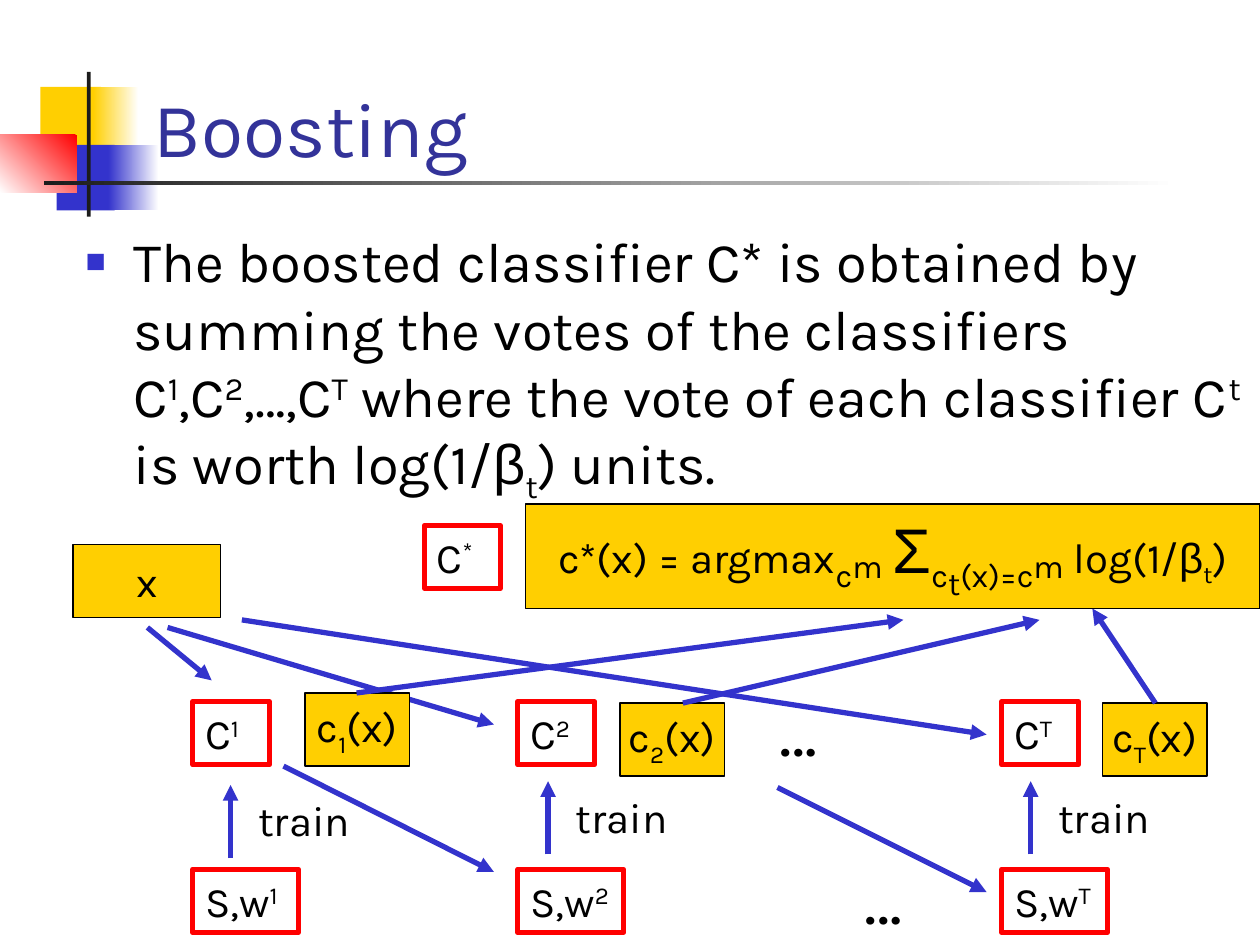
from lxml import etree
from pptx import Presentation
from pptx import util as u
from pptx.dml.color import RGBColor
from pptx.enum import shapes, text
from pptx.oxml import ns

COLORS = {"yellow": "FFCF01", "blue": "3333CC", "red": "FF0000", "dark": "1C1C1C",
          "title": "333399", "black": "000000", "white": "FFFFFF"}
FONT, GREEK = "Karla", "Arial"
UP, DOWN = 30, -25  # superscript and subscript, percent


def rgb(name):
    return RGBColor.from_string(COLORS[name])


def inches(*lengths):
    return [u.Inches(length) for length in lengths]


def write(shape, runs, size=24, color="black", align=text.PP_ALIGN.LEFT,
          anchor=text.MSO_ANCHOR.TOP, wrap=False, fit=text.MSO_AUTO_SIZE.NONE):
    """Fill a shape with one paragraph; a run is (text, baseline, size, font)."""
    frame = shape.text_frame
    frame.word_wrap, frame.auto_size, frame.vertical_anchor = wrap, fit, anchor
    paragraph = frame.paragraphs[0]
    paragraph.alignment = align
    paragraph.font.name, paragraph.font.size = FONT, u.Pt(size)
    paragraph.font.color.rgb = rgb(color)
    for words, baseline, run_size, font in runs:
        run = paragraph.add_run()
        run.text = words
        if baseline:
            run._r.get_or_add_rPr().set("baseline", str(baseline * 1000))
        if run_size:
            run.font.size = u.Pt(run_size)
        if font:
            run.font.name = font
    return paragraph


def run(words, baseline=0, size=None, font=None):
    return words, baseline, size, font


def add_box(slide, at, fill=None, line=None, width=0.75):
    box = slide.shapes.add_shape(shapes.MSO_SHAPE.RECTANGLE, *inches(*at))
    box.shadow.inherit = False
    if fill:
        box.fill.solid()
        box.fill.fore_color.rgb = rgb(fill)
    else:
        box.fill.background()
    if line:
        box.line.color.rgb = rgb(line)
        box.line.width = u.Pt(width)
    else:
        box.line.fill.background()
    return box


def add_gradient(slide, at, start, end, clockwise):
    box = add_box(slide, at)
    box.fill.gradient()
    box.fill.gradient_angle = 360 - clockwise
    for stop, color, position in zip(box.fill.gradient_stops, (start, end), (0, 1)):
        stop.color.rgb = rgb(color)
        stop.position = position


def add_value(slide, at, runs):
    """Yellow box for an input or a predicted class."""
    write(add_box(slide, at, "yellow", "black"), runs,
          align=text.PP_ALIGN.CENTER, anchor=text.MSO_ANCHOR.MIDDLE)


def add_model(slide, at, name, index):
    """Red outlined box for a classifier or a sample."""
    write(add_box(slide, at, line="red", width=3), [run(name), run(index, UP)],
          fit=text.MSO_AUTO_SIZE.SHAPE_TO_FIT_TEXT)


def add_label(slide, at, words, size=24):
    write(slide.shapes.add_textbox(*inches(*at)), [run(words)], size,
          fit=text.MSO_AUTO_SIZE.SHAPE_TO_FIT_TEXT)


def add_arrow(slide, *ends):
    arrow = slide.shapes.add_connector(shapes.MSO_CONNECTOR.STRAIGHT, *inches(*ends))
    arrow.line.color.rgb = rgb("blue")
    arrow.line.width = u.Pt(3)
    etree.SubElement(arrow.line._get_or_add_ln(), ns.qn("a:tailEnd"), type="triangle")
    etree.SubElement(arrow._element.spPr, ns.qn("a:effectLst"))


def add_bullet(paragraph, char, color, percent, indent):
    properties = paragraph._p.get_or_add_pPr()
    properties.set("marL", str(u.Inches(indent)))
    properties.set("indent", str(-u.Inches(indent)))
    bullet_color = etree.Element(ns.qn("a:buClr"))
    etree.SubElement(bullet_color, ns.qn("a:srgbClr"), val=COLORS[color])
    parts = [bullet_color,
             etree.Element(ns.qn("a:buSzPct"), val=str(percent * 1000)),
             etree.Element(ns.qn("a:buFont"), typeface=GREEK),
             etree.Element(ns.qn("a:buChar"), char=char)]
    default_font = properties.find(ns.qn("a:defRPr"))
    for part in parts:
        default_font.addprevious(part)


def move(shape, at):
    shape.left, shape.top, shape.width, shape.height = inches(*at)


def add_decoration(slide):
    add_box(slide, (0.32, 0.69, 0.48, 0.52), "yellow")
    add_gradient(slide, (0.74, 0.69, 0.36, 0.52), "white", "yellow", 180)
    add_box(slide, (0.45, 1.15, 0.46, 0.52), "blue")
    add_gradient(slide, (0.86, 1.15, 0.4, 0.52), "white", "blue", 180)
    add_gradient(slide, (0, 1.07, 0.61, 0.46), "red", "white", 135)
    add_box(slide, (0.69, 0.57, 0.03, 1.15), "dark")
    add_gradient(slide, (0.35, 1.44, 9, 0.03), "white", "dark", 180)


def add_texts(title, body):
    move(title, (1.12, 0.17, 8.52, 1.25))
    write(title, [run("Boosting")], 44, "title", anchor=text.MSO_ANCHOR.BOTTOM, wrap=True)
    move(body, (0.58, 1.75, 9.42, 4.5))
    paragraph = write(body, [
        run("The boosted classifier C* is obtained by summing the votes of the classifiers C"),
        run("1", UP), run(",C"), run("2", UP), run(",…,C"), run("T", UP),
        run(" where the vote of each classifier C"), run("t", UP),
        run(" is worth log(1/"), run("β", font=GREEK), run("t", DOWN), run(") units."),
    ], 32, wrap=True)
    paragraph.space_before = u.Pt(8)
    add_bullet(paragraph, "■", "blue", 60, 0.38)


def add_stage(slide, index, left, arrow_x, arrow_top):
    """One boosting round: weighted sample, training arrow, classifier."""
    add_model(slide, (left, 5.57, 0.61, 0.5), "C", index)
    add_arrow(slide, arrow_x, arrow_top + 0.58, arrow_x, arrow_top)
    add_label(slide, (arrow_x + 0.12, arrow_top + 0.03, 0.93, 0.5), "train")
    add_model(slide, (left, 6.9, 0.84, 0.5), "S,w", index)


def main():
    presentation = Presentation()
    presentation.slide_width, presentation.slide_height = inches(10, 7.5)
    slide = presentation.slides.add_slide(presentation.slide_layouts[1])
    title, body = slide.placeholders

    # Corner decoration goes behind the title and the list
    add_decoration(slide)
    for placeholder in (title, body):
        slide.shapes._spTree.append(placeholder._element)
    add_texts(title, body)

    # Ellipses for the rounds left out
    for left, top in ((6.76, 6.73), (6.09, 5.4)):
        add_label(slide, (left, top, 0.64, 0.77), "…", 40)

    # Input and its arrows to the classifiers
    add_value(slide, (0.58, 4.32, 1.17, 0.58), [run("x")])
    for ends in ((1.17, 4.98, 1.68, 5.4), (1.33, 4.98, 3.92, 5.75), (1.92, 4.92, 7.83, 5.83)):
        add_arrow(slide, *ends)

    # Predictions of the single classifiers
    for index, left, top in (("1", 2.42, 5.5), ("2", 4.92, 5.58), ("T", 8.75, 5.58)):
        add_value(slide, (left, top, 0.83, 0.58), [run("c"), run(index, DOWN), run("(x)")])

    # Votes and the boosted classifier
    add_model(slide, (3.37, 4.17, 0.6, 0.5), "C", "*")
    for ends in ((2.83, 5.5, 7.17, 4.92), (5.42, 5.58, 8.25, 4.92), (9.17, 5.58, 8.67, 4.83)):
        add_arrow(slide, *ends)
    add_value(slide, (4.17, 4, 5.83, 0.83), [
        run("c*(x) = argmax"), run("c", DOWN, 32), run("m", -10, 32), run(" "),
        run("Σ", size=36, font=GREEK), run("c", DOWN, 32), run("t", -40, 32),
        run("(x)=c", DOWN, 32), run("m", -10, 32), run(" log(1/"),
        run("β", font=GREEK), run("t", DOWN), run(")")])

    # Training rounds and the arrows from one to the next
    for stage in (("1", 1.53, 1.83, 6.23), ("2", 4.11, 4.35, 6.2), ("T", 7.95, 8.18, 6.2)):
        add_stage(slide, *stage)
    for ends in ((2.25, 6.08, 3.92, 6.92), (6.17, 6.25, 7.83, 7.08)):
        add_arrow(slide, *ends)

    presentation.save("out.pptx")


if __name__ == "__main__":
    main()
